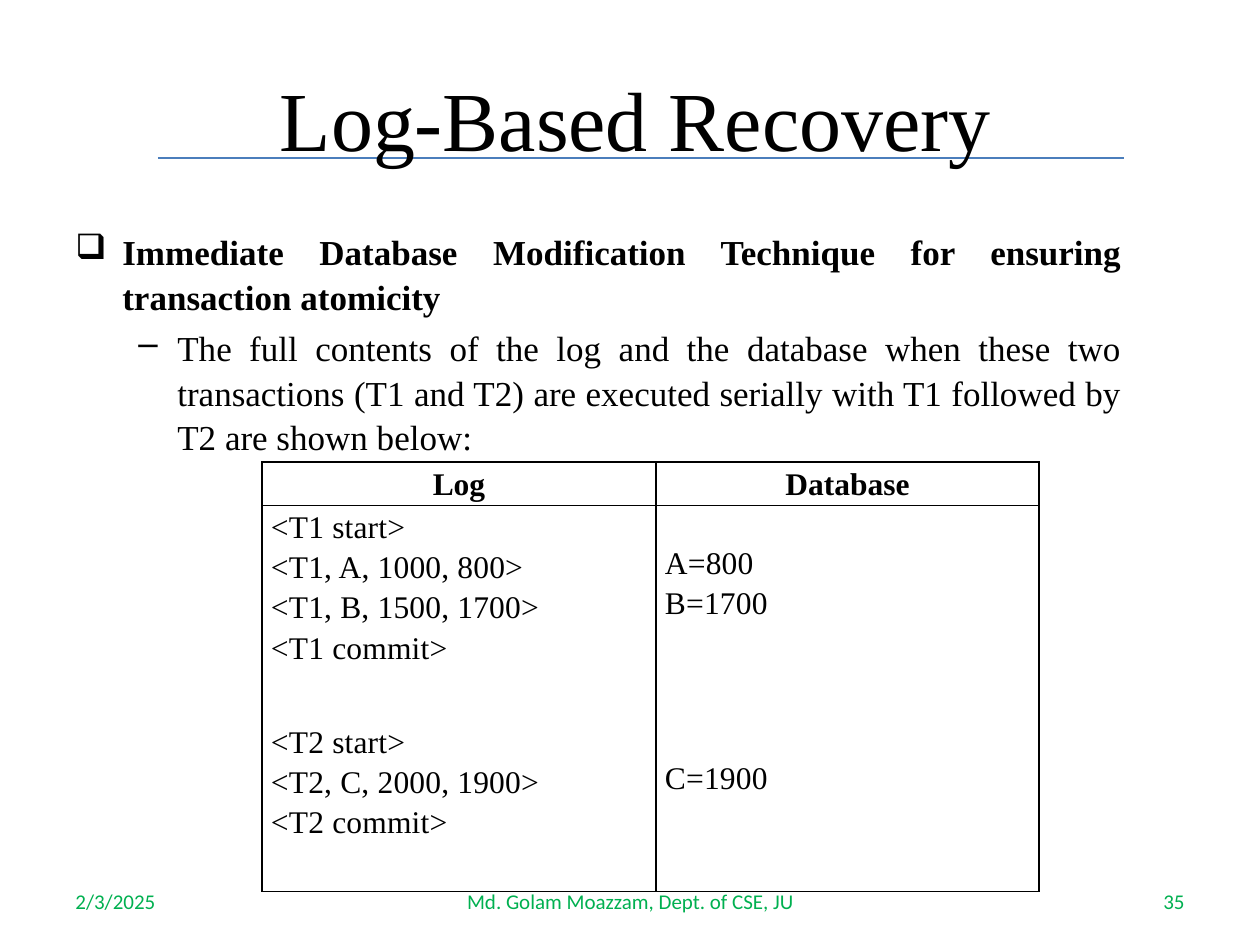
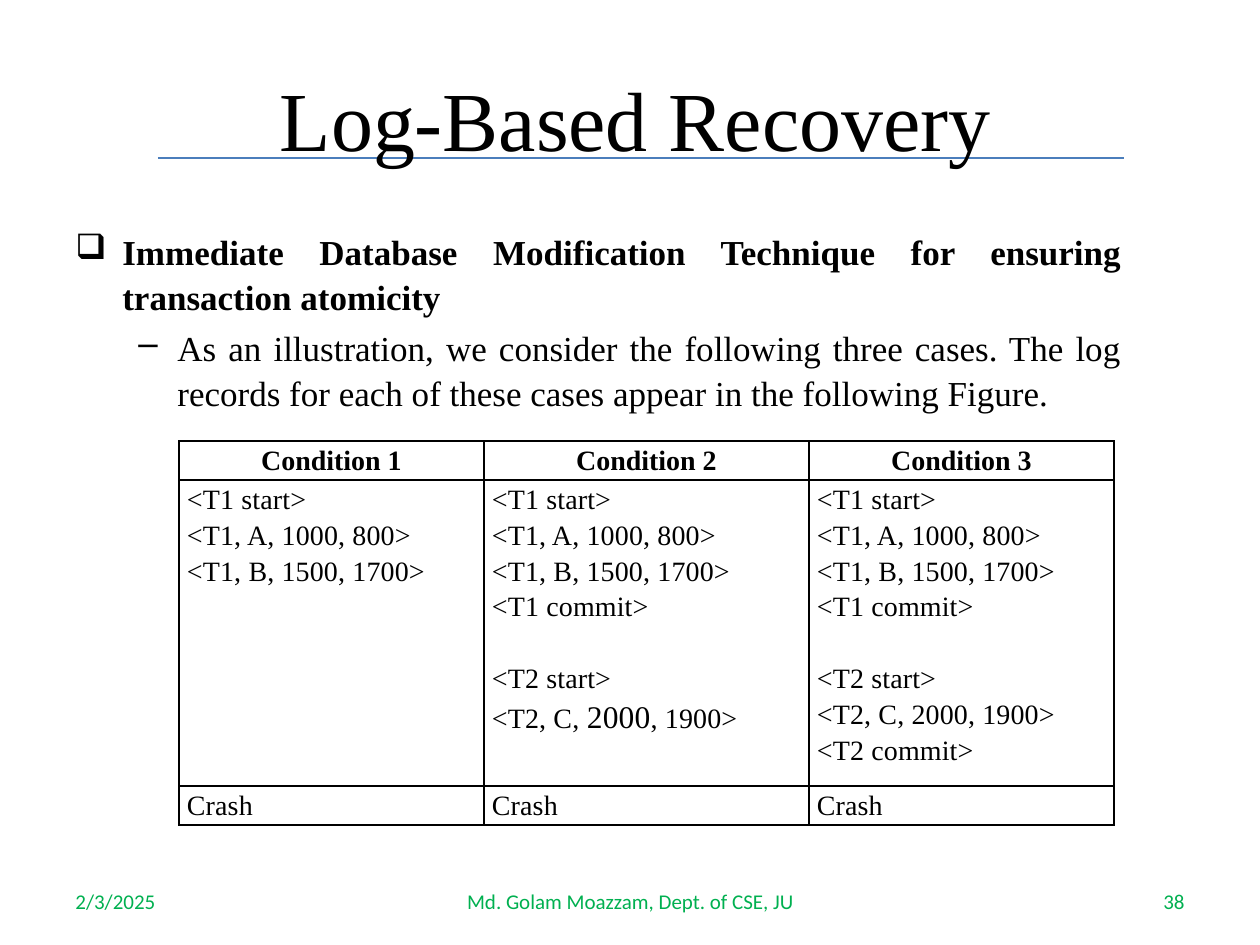
import pptx
import pptx.dml.color
import pptx.enum.shapes
import pptx.enum.text
import pptx.oxml
import pptx.oxml.ns
import pptx.util
from lxml import etree

ALIGN = pptx.enum.text.PP_ALIGN
ANCHOR = pptx.enum.text.MSO_ANCHOR
SERIF, SANS = "Times New Roman", "Calibri"
INK, GREEN, RULE = "000000", "00B050", "4B7EBC"
SIDES = ("L", "R", "T", "B")
BLANK_LINE = 36


def px(length):
    return pptx.util.Emu(round(length * 914400 / 126))


def color(value):
    return pptx.dml.color.RGBColor.from_string(value)


def add_xml(parent, tag, **attributes):
    element = etree.SubElement(parent, pptx.oxml.ns.qn(tag))
    for key, value in attributes.items():
        element.set(key, str(value))
    return element


class Deck:
    def __init__(self):
        self.prs = pptx.Presentation()
        self.prs.slide_width, self.prs.slide_height = px(1260), px(945)
        self.slide = None

    def new_slide(self, number, explanation):
        self.slide = self.prs.slides.add_slide(self.prs.slide_layouts[6])
        self.footer(63, 294, "2/3/2025", ALIGN.LEFT)
        self.footer(903, 294, number, ALIGN.RIGHT)
        self.footer(431, 399, "Md. Golam Moazzam, Dept. of CSE, JU", ALIGN.CENTER)
        self.rule(158, 158, 1124)
        self.title("Log-Based Recovery")
        self.bullets(
            "Immediate Database Modification Technique for ensuring transaction atomicity",
            explanation,
        )

    def style(self, paragraph, size, align, font=SERIF, ink=INK, bold=False):
        paragraph.alignment = align
        paragraph.font.name = font
        paragraph.font.size = pptx.util.Pt(size)
        paragraph.font.bold = bold
        paragraph.font.color.rgb = color(ink)

    def frame(self, left, top, width, height):
        frame = self.slide.shapes.add_textbox(
            px(left), px(top), px(width), px(height)
        ).text_frame
        frame.word_wrap = True
        return frame

    def footer(self, left, width, text, align):
        frame = self.frame(left, 876, width, 50)
        frame.vertical_anchor = ANCHOR.MIDDLE
        frame.text = text
        self.style(frame.paragraphs[0], 12, align, SANS, GREEN)

    def rule(self, left, y, right):
        line = self.slide.shapes.add_connector(
            pptx.enum.shapes.MSO_CONNECTOR.STRAIGHT, px(left), px(y), px(right), px(y)
        )
        line.line.color.rgb = color(RULE)
        line.line.width = pptx.util.Pt(0.75)
        add_xml(line._element.spPr, "a:effectLst")

    def title(self, text):
        frame = self.frame(168, 53, 935, 112)
        frame.margin_top, frame.margin_bottom = px(15), 0
        frame.text = text
        self.style(frame.paragraphs[0], 48, ALIGN.CENTER)

    def bullets(self, heading, explanation):
        frame = self.frame(63, 222, 1071, 630)
        levels = ((heading, "❑", 47, 47, True), (explanation, "–", 102, 39, False))
        for level, (text, mark, margin, hanging, bold) in enumerate(levels):
            paragraph = frame.add_paragraph() if level else frame.paragraphs[0]
            paragraph.text = text
            paragraph.level = level
            properties = paragraph._p.get_or_add_pPr()
            properties.set("marL", str(px(margin)))
            properties.set("indent", str(-px(hanging)))
            add_xml(properties, "a:buChar", char=mark)
            paragraph.line_spacing = 1.06
            if level:
                paragraph.space_before = pptx.util.Pt(4)
            self.style(paragraph, 20, ALIGN.JUSTIFY, bold=bold)

    def borders(self, cell, sides):
        properties = cell._tc.get_or_add_tcPr()
        for side in SIDES:
            edge = add_xml(properties, f"a:ln{side}", w=12700)
            if side in sides:
                add_xml(add_xml(edge, "a:solidFill"), "a:srgbClr", val=INK)
            else:
                add_xml(edge, "a:noFill")

    def fill_cell(self, cell, lines, size, inset, header):
        cell.margin_left = cell.margin_right = px(inset)
        cell.margin_top = cell.margin_bottom = 0
        frame = cell.text_frame
        paragraph, gap, started = frame.paragraphs[0], 0, False
        for line in lines:
            if not line:
                gap = BLANK_LINE
                continue
            if started:
                paragraph = frame.add_paragraph()
                if gap:
                    paragraph.space_before = px(gap)
            else:
                cell.margin_top = px(gap)
            pieces = [(line, None)] if isinstance(line, str) else line
            for text, run_size in pieces:
                run = paragraph.add_run()
                run.text = text
                if run_size:
                    run.font.size = pptx.util.Pt(run_size)
            gap, started = 0, True
        for paragraph in frame.paragraphs:
            paragraph.line_spacing = 1.15
            self.style(paragraph, size, ALIGN.CENTER if header else ALIGN.JUSTIFY, bold=header)
            if not header:
                paragraph._p.pPr.get_or_add_defRPr().set("spc", "10")

    def table(self, left, top, widths, heights, rows, size, inset, ruled_rows):
        table = self.slide.shapes.add_table(
            len(heights), len(widths), px(left), px(top), px(sum(widths)), px(sum(heights))
        ).table
        table.first_row = table.horz_banding = False
        for column, width in zip(table.columns, widths):
            column.width = px(width)
        for index, (row, height, contents) in enumerate(zip(table.rows, heights, rows)):
            row.height = px(height)
            sides = "LR" + "T" * (index in ruled_rows) + "B" * (index + 1 in ruled_rows)
            for cell, lines in zip(row.cells, contents):
                self.fill_cell(cell, lines, size, inset, index == 0)
                self.borders(cell, sides)
                cell.fill.background()


def main():
    t1_writes = ["<T1 start>", "<T1, A, 1000, 800>", "<T1, B, 1500, 1700>"]
    t1_log = t1_writes + ["<T1 commit>"]
    t2_log = ["<T2 start>", "<T2, C, 2000, 1900>", "<T2 commit>"]
    t2_partial = ["<T2 start>", [("<T2, C, ", None), ("2000", 18), (", 1900>", None)]]

    deck = Deck()
    deck.new_slide(
        "35",
        "The full contents of the log and the database when these two transactions "
        "(T1 and T2) are executed serially with T1 followed by T2 are shown below:",
    )
    log_and_database = [
        [["Log"], ["Database"]],
        [t1_log, ["", "A=800", "B=1700"]],
        [[], []],
        [t2_log, ["", "C=1900"]],
        [[], []],
    ]
    deck.table(262, 462, [394, 383], [41, 164, 41, 122, 41], log_and_database, 18, 9, {0, 1, 5})

    deck.new_slide(
        "38",
        "As an illustration, we consider the following three cases. The log records "
        "for each of these cases appear in the following Figure.",
    )
    crash_cases = [
        [[f"Condition {case}"] for case in (1, 2, 3)],
        [t1_writes, t1_log + [""] + t2_partial, t1_log + [""] + t2_log],
        [["Crash"]] * 3,
    ]
    deck.table(179, 441, [305, 325, 305], [39, 297, 39], crash_cases, 16, 8, {0, 1, 2, 3})
    deck.prs.save("out.pptx")


if __name__ == "__main__":
    main()
